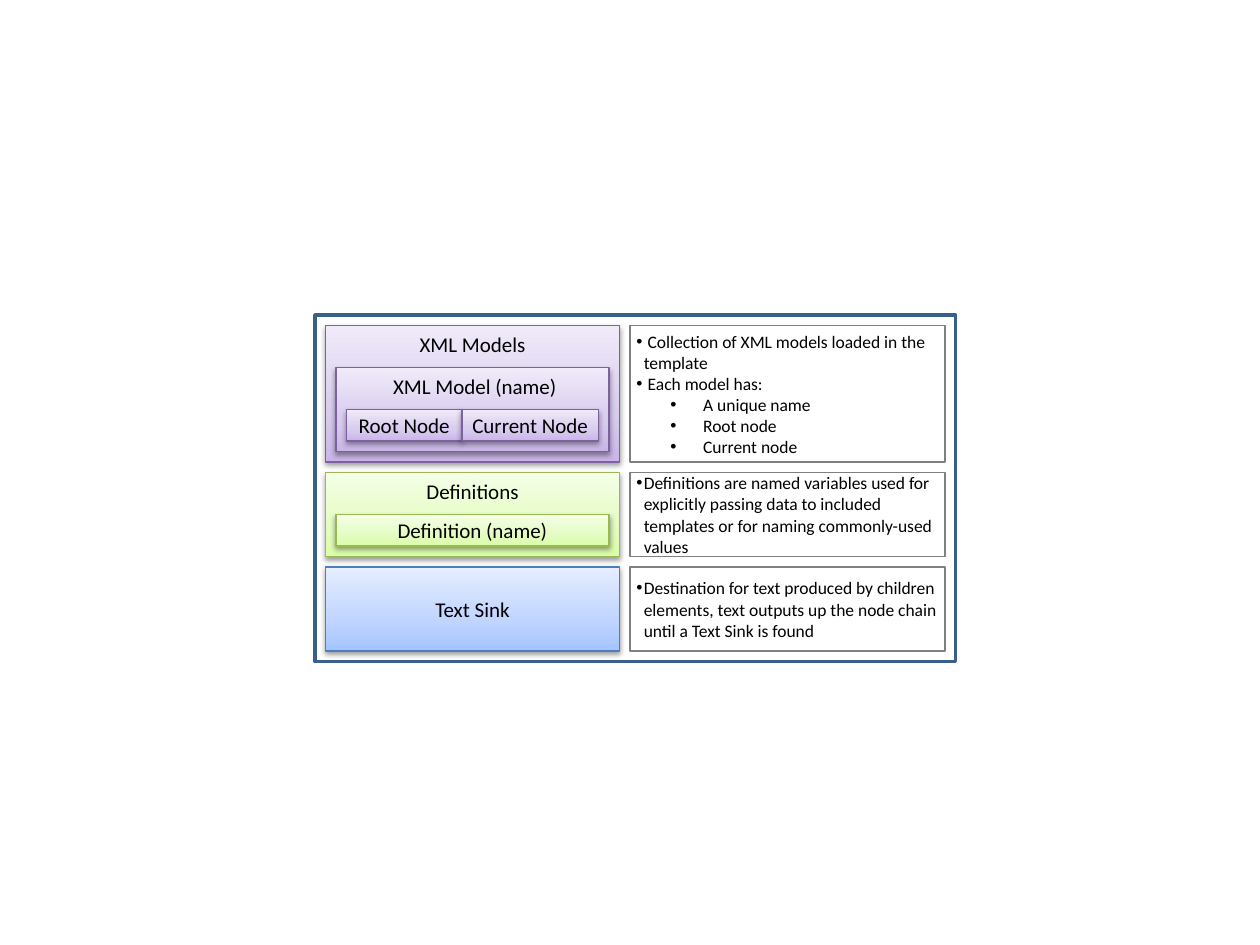
from lxml.etree import SubElement
from pptx import Presentation
from pptx.dml.color import RGBColor
from pptx.enum.shapes import MSO_SHAPE
from pptx.enum.text import MSO_ANCHOR, PP_ALIGN
from pptx.oxml.ns import qn
from pptx.util import Inches, Pt

UNIT = Inches(1) / 12
HEADING = 4
PURPLE = ("C9B5E8", "D8CBEE", "F0EAF9", "7D60A0")
GREEN = ("DAFDA7", "E4FCC2", "F5FFE7", "98B955")
BLUE = ("A4C4FF", "BFD4FF", "E6EEFF", "4B7EBC")


def color(hex_code):
    """Turn a hex string into a colour."""
    return RGBColor.from_string(hex_code)


def add_rectangle(slide, box, line, width=0.75):
    """Draw an outlined rectangle at a box given in grid units."""
    rectangle = slide.shapes.add_shape(
        MSO_SHAPE.RECTANGLE, *(round(length * UNIT) for length in box))
    rectangle.shadow.inherit = False
    rectangle.line.color.rgb = color(line)
    rectangle.line.width = Pt(width)
    return rectangle


def add_gradient(block, stops):
    """Fill a block with a gradient rising from its bottom edge."""
    block.fill.gradient()
    block.fill.gradient_angle = 90
    stop_list = block._element.spPr.find(".//" + qn("a:gsLst"))
    stop_list.clear()
    for position, stop in zip((0, 35000, 100000), stops):
        gradient_stop = SubElement(stop_list, qn("a:gs"), pos=str(position))
        SubElement(gradient_stop, qn("a:srgbClr"), val=stop)


def add_shadow(block):
    """Cast a soft shadow below a block."""
    effects = block._element.spPr.find(qn("a:effectLst"))
    shadow = SubElement(effects, qn("a:outerShdw"), blurRad="40000",
                        dist="20000", dir="5400000", rotWithShape="0")
    tint = SubElement(shadow, qn("a:srgbClr"), val="000000")
    SubElement(tint, qn("a:alpha"), val="38000")


def format_paragraph(paragraph, text, size, alignment):
    """Write one paragraph in black Calibri."""
    paragraph.text = text
    paragraph.alignment = alignment
    paragraph.font.size = Pt(size)
    paragraph.font.name = "Calibri"
    paragraph.font.color.rgb = color("000000")


def add_block(slide, box, label, palette, anchor=MSO_ANCHOR.MIDDLE):
    """Draw a labelled gradient block."""
    *stops, line = palette
    block = add_rectangle(slide, box, line)
    add_gradient(block, stops)
    add_shadow(block)
    frame = block.text_frame
    frame.word_wrap = True
    frame.vertical_anchor = anchor
    frame.margin_left = frame.margin_right = 0
    format_paragraph(frame.paragraphs[0], label, 12, PP_ALIGN.CENTER)


def add_container(slide, box, label, palette):
    """Draw a block with a heading and return the box left inside it."""
    add_block(slide, box, label, palette, MSO_ANCHOR.TOP)
    left, top, width, height = box
    return left + 1, top + HEADING, width - 2, height - HEADING - 1


def add_models(slide, box):
    """Draw the nested XML model blocks."""
    model = add_container(slide, box, "XML Models", PURPLE)
    left, top, width, height = add_container(
        slide, model, " XML Model (name)", PURPLE)
    root = 11
    add_block(slide, (left, top, root, height), "Root Node", PURPLE)
    add_block(slide, (left + root, top, width - root, height),
              "Current Node", PURPLE)


def add_definitions(slide, box):
    """Draw the definitions block with its named definition."""
    definition = add_container(slide, box, "Definitions", GREEN)
    add_block(slide, definition, "Definition (name)", GREEN)


def add_text_sink(slide, box):
    """Draw the text sink block."""
    add_block(slide, box, "Text Sink", BLUE)


def add_notes(slide, box, bullets):
    """Draw a white box of bullets given as level and text."""
    notes = add_rectangle(slide, box, "808080")
    notes.fill.solid()
    notes.fill.fore_color.rgb = color("FFFFFF")
    frame = notes.text_frame
    frame.word_wrap = True
    frame.vertical_anchor = MSO_ANCHOR.MIDDLE
    frame.margin_left = frame.margin_right = Inches(0.05)
    for index, (level, text) in enumerate(bullets):
        paragraph = frame.add_paragraph() if index else frame.paragraphs[0]
        format_paragraph(paragraph, text, 10, PP_ALIGN.LEFT)
        paragraph.level = level
        margin, indent = ((0.06, -0.06), (0.5, -0.23))[level]
        properties = paragraph._p.get_or_add_pPr()
        properties.set("marL", str(Inches(margin)))
        properties.set("indent", str(Inches(indent)))
        bullet_font = SubElement(properties, qn("a:buFont"), typeface="Arial")
        bullet = SubElement(properties, qn("a:buChar"), char="•")
        properties.insert(0, bullet_font)
        properties.insert(1, bullet)


ROWS = (
    (add_models, 13, (
        (0, " Collection of XML models loaded in the template"),
        (0, " Each model has:"),
        (1, " A unique name"),
        (1, " Root node"),
        (1, " Current node"))),
    (add_definitions, 8, (
        (0, "Definitions are named variables used for explicitly passing data "
            "to included templates or for naming commonly-used values"),)),
    (add_text_sink, 8, (
        (0, "Destination for text produced by children elements, text outputs "
            "up the node chain until a Text Sink is found"),)),
)


def add_diagram(slide, box):
    """Lay out the rows of blocks and notes within a frame."""
    left, top, width, height = box
    block_width = 28
    notes_width = width - block_width - 3
    row_top = top + 1
    for add_row_block, row_height, bullets in ROWS:
        add_row_block(slide, (left + 1, row_top, block_width, row_height))
        add_notes(slide, (left + block_width + 2, row_top,
                          notes_width, row_height), bullets)
        row_top += row_height + 1
    add_rectangle(slide, box, "3A5F8C", 2).fill.background()


def main():
    """Build and save the slide."""
    presentation = Presentation()
    presentation.slide_width = Inches(10)
    presentation.slide_height = Inches(7.5)
    slide = presentation.slides.add_slide(presentation.slide_layouts[6])
    add_diagram(slide, (30, 30, 61, 33))
    presentation.save("out.pptx")


if __name__ == "__main__":
    main()
